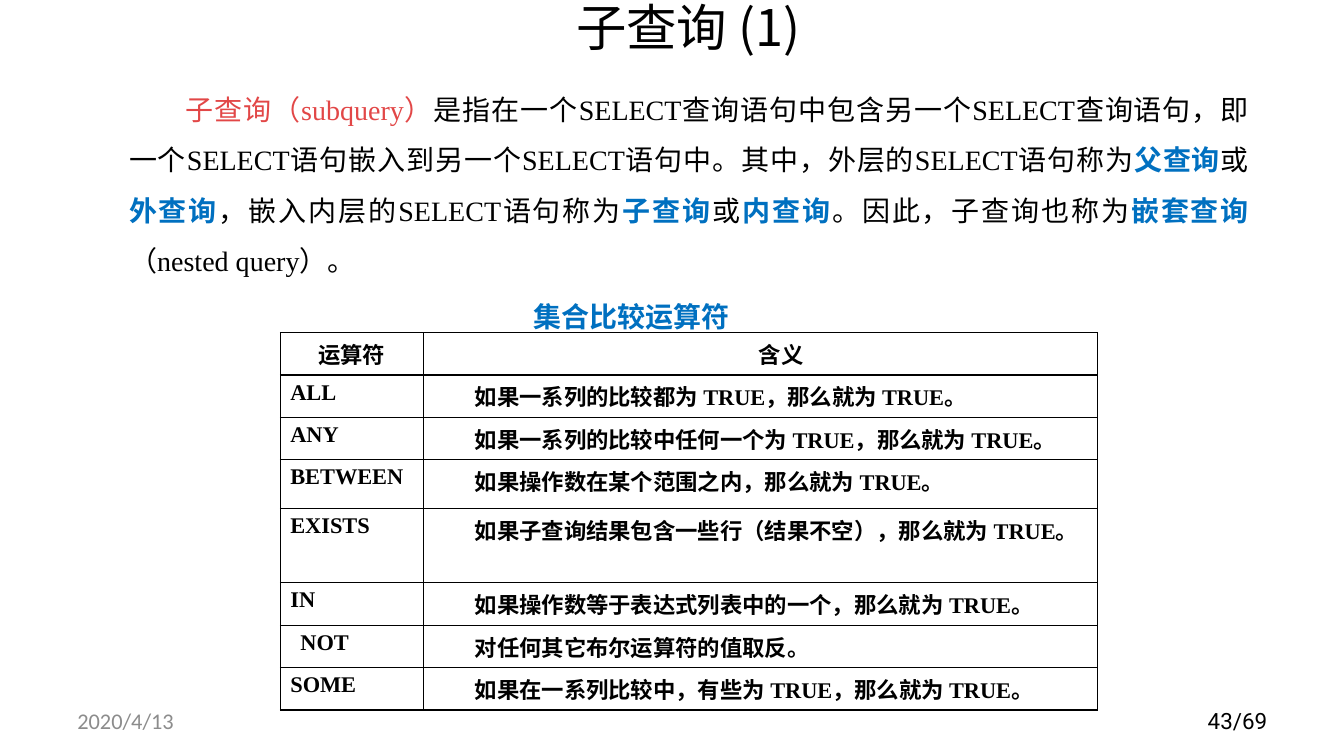
from lxml.etree import SubElement
from pptx import Presentation
from pptx.dml.color import RGBColor
from pptx.enum.text import MSO_ANCHOR, MSO_AUTO_SIZE, PP_ALIGN
from pptx.oxml.ns import qn
from pptx.util import Pt

BLACK, BLUE, RED, GREY = "000000", "0070C0", "E24747", "8C8C8C"
SERIF, CJK = "Times New Roman", "Noto Sans CJK SC"

INTRO = [
    ("子查询（subquery）", RED, False),
    ("是指在一个SELECT查询语句中包含另一个SELECT查询语句，即一个SELECT语句嵌入到"
     "另一个SELECT语句中。其中，外层的SELECT语句称为", BLACK, False),
    ("父查询", BLUE, True), ("或", BLACK, False), ("外查询", BLUE, True),
    ("，嵌入内层的SELECT语句称为", BLACK, False),
    ("子查询", BLUE, True), ("或", BLACK, False), ("内查询", BLUE, True),
    ("。因此，子查询也称为", BLACK, False),
    ("嵌套查询", BLUE, True), ("（nested query）。", BLACK, False),
]
CAPTION = [("集合比较运算符", BLUE, True)]

OPERATORS = [
    ("运算符", "含义"),
    ("ALL", "如果一系列的比较都为 TRUE，那么就为 TRUE。"),
    ("ANY", "如果一系列的比较中任何一个为 TRUE，那么就为 TRUE。"),
    ("BETWEEN", "如果操作数在某个范围之内，那么就为 TRUE。"),
    ("EXISTS", "如果子查询结果包含一些行（结果不空），那么就为 TRUE。"),
    ("IN", "如果操作数等于表达式列表中的一个，那么就为 TRUE。"),
    ("NOT", "对任何其它布尔运算符的值取反。"),
    ("SOME", "如果在一系列比较中，有些为 TRUE，那么就为 TRUE。"),
]
COLUMN_WIDTHS = (102.2, 481.7)
ROW_HEIGHTS = (30.2, 29.8, 29.8, 34.6, 30, 29.8, 29.8, 30.2)
MEANING_INDENT, NOT_INDENT = 29.5, 7.2


def color(value):
    return RGBColor.from_string(value)


def add_text(p, text, size=16, font=SERIF, fill=BLACK, bold=False):
    r = p.add_run()
    r.text = text
    r.font.size = Pt(size)
    r.font.name = font
    r.font.bold = bold
    r.font.color.rgb = color(fill)
    SubElement(r._r.get_or_add_rPr(), qn("a:ea"), typeface=CJK)


def indent(p, left=0, first=0):
    pPr = p._p.get_or_add_pPr()
    pPr.set("marL", str(Pt(left)))
    pPr.set("indent", str(Pt(first)))


def add_borders(cell, width):
    """Draw all four cell edges; width maps an edge letter to points."""
    tcPr = cell._tc.get_or_add_tcPr()
    for edge in "LRTB":
        ln = SubElement(tcPr, qn(f"a:ln{edge}"), w=str(Pt(width.get(edge, 0.75))))
        SubElement(SubElement(ln, qn("a:solidFill")), qn("a:srgbClr"), val=BLACK)


class SlideBuilder:
    def __init__(self, slide):
        self.slide = slide

    def prepare(self, sp, box, anchor):
        """Place a text shape and return its text frame."""
        sp.left, sp.top, sp.width, sp.height = map(Pt, box)
        tf = sp.text_frame
        tf.word_wrap = True
        tf.auto_size = MSO_AUTO_SIZE.NONE
        tf.vertical_anchor = anchor
        return tf

    def title(self, text, box):
        tf = self.prepare(self.slide.shapes.title, box, MSO_ANCHOR.MIDDLE)
        p = tf.paragraphs[0]
        p.alignment = PP_ALIGN.CENTER
        add_text(p, text, size=36, font=CJK)

    def body(self, paragraphs, box):
        tf = self.prepare(self.slide.placeholders[1], box, MSO_ANCHOR.TOP)
        for i, (runs, left, first) in enumerate(paragraphs):
            p = tf.add_paragraph() if i else tf.paragraphs[0]
            p.alignment = PP_ALIGN.JUSTIFY
            p.line_spacing = 1.5
            p.space_before = Pt(4)
            indent(p, left, first)
            SubElement(p._p.get_or_add_pPr(), qn("a:buNone"))
            for text, fill, bold in runs:
                add_text(p, text, size=20, fill=fill, bold=bold)

    def label(self, text, box, align=PP_ALIGN.LEFT, **fmt):
        sp = self.slide.shapes.add_textbox(*map(Pt, box))
        p = self.prepare(sp, box, MSO_ANCHOR.MIDDLE).paragraphs[0]
        p.alignment = align
        add_text(p, text, **fmt)

    def table(self, rows, left, top):
        size = sum(COLUMN_WIDTHS), sum(ROW_HEIGHTS)
        frame = self.slide.shapes.add_table(
            len(rows), len(COLUMN_WIDTHS), *map(Pt, (left, top, *size)))
        table = frame.table
        table.first_row = table.horz_banding = False
        for column, width in zip(table.columns, COLUMN_WIDTHS):
            column.width = Pt(width)
        for i, (row, height) in enumerate(zip(rows, ROW_HEIGHTS)):
            table.rows[i].height = Pt(height)
            edges = {0: {"T": 1, "B": 1}, 1: {"T": 1}, len(rows) - 1: {"B": 1}}.get(i, {})
            for j, text in enumerate(row):
                cell = table.cell(i, j)
                add_borders(cell, edges)
                cell.fill.background()
                p = cell.text_frame.paragraphs[0]
                p.alignment = PP_ALIGN.LEFT if i else PP_ALIGN.CENTER
                if j:
                    indent(p, first=MEANING_INDENT)
                elif text == "NOT":
                    indent(p, first=NOT_INDENT)
                add_text(p, text, bold=True)


def main():
    prs = Presentation()
    prs.slide_width, prs.slide_height = Pt(960), Pt(540)
    page = SlideBuilder(prs.slides.add_slide(prs.slide_layouts[1]))
    page.title("子查询 (1)", (185, -12.2, 613.4, 62.6))
    page.body([(INTRO, 0, 40), (CAPTION, 289, 0)], (85, 50.4, 814.3, 374.4))
    page.table(OPERATORS, 200.2, 237.6)
    page.label("2020/4/13", (48.2, 500.4, 223.9, 28.8), font="Calibri", fill=GREY)
    page.label("43/69", (688.3, 500.4, 223.9, 28.8), PP_ALIGN.RIGHT, font="Roboto")
    prs.save("out.pptx")


if __name__ == "__main__":
    main()
